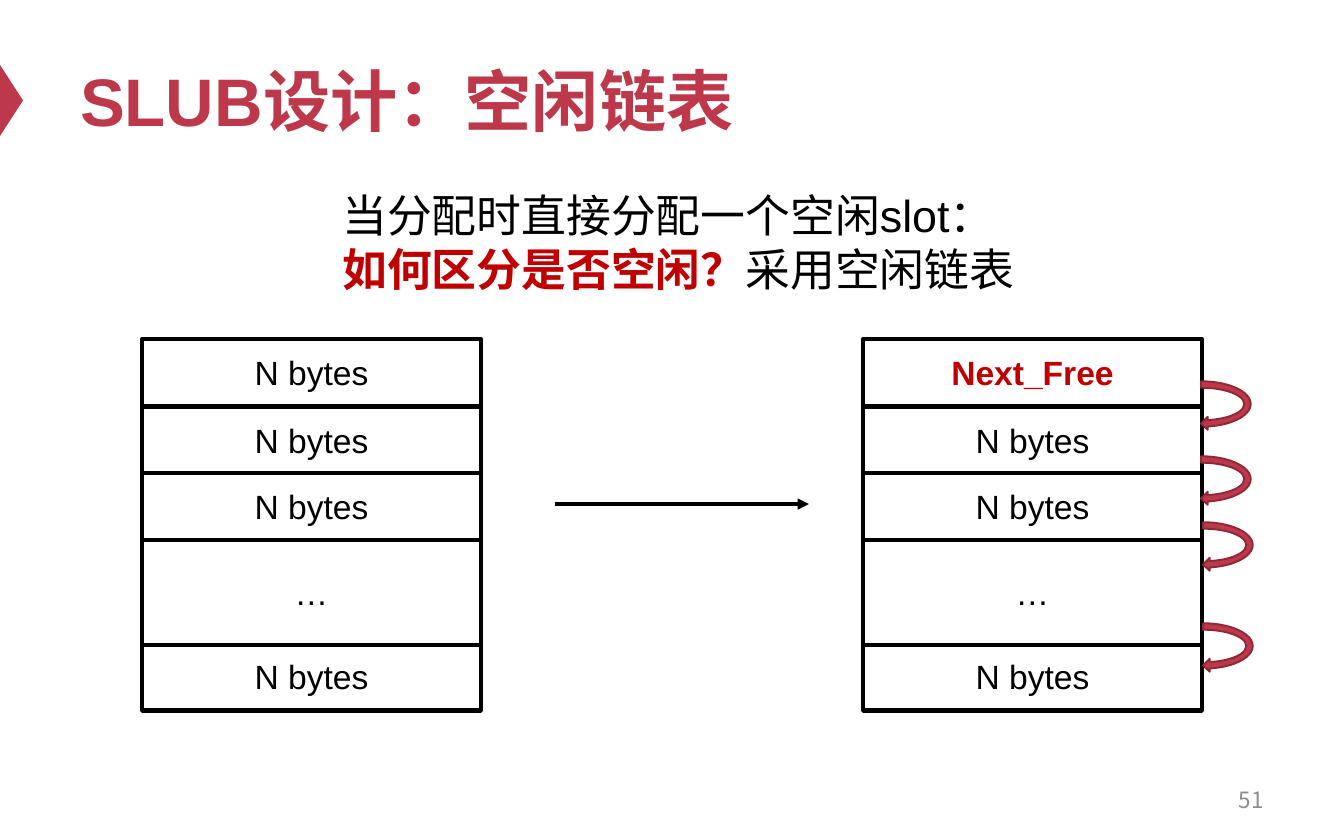
from lxml import etree
from pptx import Presentation
from pptx.dml.color import RGBColor
from pptx.enum.shapes import MSO_CONNECTOR, MSO_SHAPE
from pptx.enum.text import MSO_ANCHOR, PP_ALIGN
from pptx.oxml.ns import qn
from pptx.util import Pt

PX = 9144000 / 1344
RED = RGBColor(0xBE, 0x38, 0x4B)
DARK_RED = RGBColor(0x8D, 0x29, 0x37)
ACCENT = RGBColor(0xC0, 0x00, 0x00)
BLACK = RGBColor(0x00, 0x00, 0x00)
WHITE = RGBColor(0xFF, 0xFF, 0xFF)
GRAY = RGBColor(0x8C, 0x8C, 0x8C)
LATIN = "Arial"
CJK = "Noto Sans CJK SC"
RECT = MSO_SHAPE.RECTANGLE
TRIANGLE = MSO_SHAPE.ISOSCELES_TRIANGLE
CIRCULAR = MSO_SHAPE.CIRCULAR_ARROW
STRAIGHT = MSO_CONNECTOR.STRAIGHT
TOP, MIDDLE = MSO_ANCHOR.TOP, MSO_ANCHOR.MIDDLE
LEFT, CENTER, RIGHT = PP_ALIGN.LEFT, PP_ALIGN.CENTER, PP_ALIGN.RIGHT


def px(*values):
    return [round(v * PX) for v in values]


class Deck:
    def __init__(self):
        self.prs = Presentation()
        self.prs.slide_width, self.prs.slide_height = px(1344, 840)
        self.s = self.prs.slides.add_slide(self.prs.slide_layouts[6])

    def run(self, p, text, size, color, bold=False, font=LATIN):
        r = p.add_run()
        r.text = text
        r.font.size = Pt(size)
        r.font.bold = bold
        r.font.color.rgb = color
        r.font.name = font
        ea = etree.SubElement(r._r.get_or_add_rPr(), qn("a:ea"))
        ea.set("typeface", CJK)

    def text(self, box, lines, size, align=LEFT, anchor=MIDDLE, wrap=True,
             spacing=None, font=LATIN):
        sp = self.s.shapes.add_textbox(*px(*box))
        tf = sp.text_frame
        tf.word_wrap = wrap
        tf.vertical_anchor = anchor
        for i, runs in enumerate(lines):
            p = tf.add_paragraph() if i else tf.paragraphs[0]
            p.alignment = align
            if spacing:
                p.line_spacing = Pt(spacing)
            for text, color, bold in runs:
                self.run(p, text, size, color, bold, font)

    def shape(self, kind, box, fill, line=None, width=1, rotation=0):
        sp = self.s.shapes.add_shape(kind, *px(*box))
        sp.shadow.inherit = False
        sp.rotation = rotation
        sp.fill.solid()
        sp.fill.fore_color.rgb = fill
        if line is None:
            sp.line.fill.background()
        else:
            sp.line.color.rgb = line
            sp.line.width = Pt(width)
        return sp

    def cell(self, box, text, color=BLACK, bold=False):
        sp = self.shape(RECT, box, WHITE, BLACK, 2)
        tf = sp.text_frame
        tf.vertical_anchor = MIDDLE
        p = tf.paragraphs[0]
        p.alignment = CENTER
        self.run(p, text, 18, color, bold)

    def slab(self, x, head, color=BLACK, bold=False):
        width, height = 339, 67
        self.shape(RECT, (x, 340, width, 371), WHITE, BLACK, 2)
        self.cell((x, 339, width, height), head, color, bold)
        for y in (407, 473, 643):
            self.cell((x, y, width, height), "N bytes")
        self.cell((x, 540, width, 105), "…")

    def arrow(self, x1, y1, x2, y2):
        c = self.s.shapes.add_connector(STRAIGHT, *px(x1, y1, x2, y2))
        c.line.color.rgb = BLACK
        c.line.width = Pt(2)
        tail = etree.SubElement(c.line._get_or_add_ln(), qn("a:tailEnd"))
        tail.set("type", "triangle")
        etree.SubElement(c._element.spPr, qn("a:effectLst"))

    def loop(self, x, y):
        self.shape(CIRCULAR, (x, y, 52, 106), RED, DARK_RED, 1, 90)


def main():
    d = Deck()
    d.shape(TRIANGLE, (-24, 89, 71, 23), RED, rotation=90)
    d.text((67, 34, 1210, 132), [[("SLUB设计：空闲链表", RED, True)]], 36)
    d.text((964, 778, 313, 44), [[("51", GRAY, False)]], 12, RIGHT, font=CJK)
    d.text((329, 181, 706, 122), [
        [("当分配时直接分配一个空闲slot：", BLACK, False)],
        [("如何区分是否空闲？", ACCENT, True), ("采用空闲链表", BLACK, False)],
    ], 24, anchor=TOP, wrap=False, spacing=29)
    d.arrow(555, 504, 809, 504)
    d.slab(863, "Next_Free", ACCENT, True)
    d.slab(142, "N bytes")
    for x, y in ((1175, 351), (1175, 426), (1177, 593), (1177, 492)):
        d.loop(x, y)
    d.prs.save("out.pptx")


if __name__ == "__main__":
    main()
